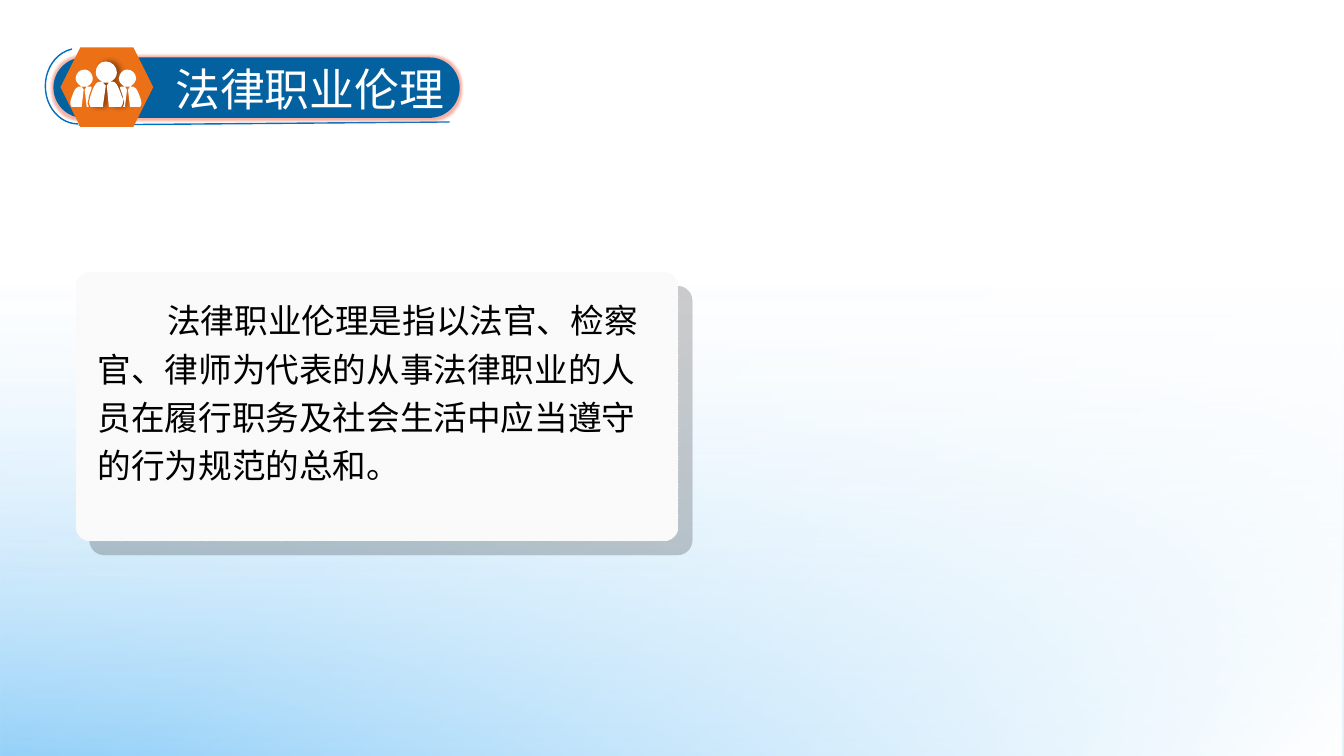
from dataclasses import dataclass

from pptx import Presentation
from pptx.dml.color import RGBColor
from pptx.enum.dml import MSO_PATTERN
from pptx.enum.shapes import MSO_CONNECTOR, MSO_SHAPE
from pptx.enum.text import MSO_AUTO_SIZE
from pptx.oxml import parse_xml
from pptx.oxml.ns import nsdecls, qn
from pptx.util import Inches, Pt

RECT, ROUNDED = MSO_SHAPE.RECTANGLE, MSO_SHAPE.ROUNDED_RECTANGLE
ARC, HEXAGON = MSO_SHAPE.ARC, MSO_SHAPE.HEXAGON
DIAGONAL = MSO_PATTERN.DARK_DOWNWARD_DIAGONAL
STRAIGHT = MSO_CONNECTOR.STRAIGHT
GROW = MSO_AUTO_SIZE.SHAPE_TO_FIT_TEXT


@dataclass(frozen=True)
class Theme:
    white: str = "FFFFFF"
    sky: str = "67BDF6"
    outline: str = "0070C0"
    pill: str = "0461A0"
    glow: str = "F5A090"
    badge: str = "EC7016"
    card: str = "F9F9F9"
    ink: str = "000000"
    title_size: int = 32
    body_size: int = 24
    title_font: str = "Times New Roman"
    body_font: str = "Noto Sans CJK SC"


theme = Theme()
deck = Presentation()
deck.slide_width, deck.slide_height = Inches(13.33), Inches(7.5)
page = deck.slides.add_slide(deck.slide_layouts[6])


def style(shape, color=None, effect=None):
    """Give a shape a plain fill or none, no outline, and one optional effect element."""
    if color:
        shape.fill.solid()
        shape.fill.fore_color.rgb = RGBColor.from_string(color)
    else:
        shape.fill.background()
    shape.line.fill.background()
    shape.shadow.inherit = False
    if effect:
        shape._element.spPr.find(qn("a:effectLst")).append(parse_xml(effect))
    return shape


def write(text, bounds, font, size, color):
    """Add a text box; Chinese characters always use the body font."""
    box = page.shapes.add_textbox(*map(Inches, bounds))
    box.text_frame.word_wrap = True
    box.text_frame.auto_size = GROW
    para = box.text_frame.paragraphs[0]
    para.text = text
    para.font.name = font
    para.font.size = Pt(size)
    para.font.color.rgb = RGBColor.from_string(color)
    east_asian = parse_xml(f'<a:ea {nsdecls("a")} typeface="{theme.body_font}"/>')
    para._p.pPr.find(qn("a:defRPr")).append(east_asian)
    return para


# Background: two washes, each stop is position %, colour, opacity %
washes = [
    (90, [(0, theme.white, 0), (37, theme.white, 25), (100, theme.sky, 88)]),
    (45, [(0, theme.white, 0), (42, theme.white, 25), (100, theme.white, 100)]),
]
for angle, stops in washes:
    wash = style(page.shapes.add_shape(RECT, 0, 0, deck.slide_width, deck.slide_height), theme.white)
    stop_xml = "".join(
        f'<a:gs pos="{position * 1000}"><a:srgbClr val="{color}">'
        f'<a:alpha val="{opacity * 1000}"/></a:srgbClr></a:gs>'
        for position, color, opacity in stops
    )
    gradient = parse_xml(
        f'<a:gradFill {nsdecls("a")} rotWithShape="1"><a:gsLst>{stop_xml}</a:gsLst>'
        f'<a:lin ang="{angle * 60000}" scaled="0"/></a:gradFill>'
    )
    properties = wash._element.spPr
    properties.replace(properties.find(qn("a:solidFill")), gradient)

# Title pill with its outline
arc = style(page.shapes.add_shape(ARC, Inches(0.45), Inches(0.48), Inches(0.65), Inches(0.75)))
arc.adjustments[0], arc.adjustments[1] = 53.91, 156.32
underline = page.shapes.add_connector(STRAIGHT, Inches(0.78), Inches(1.24), Inches(4.46), Inches(1.21))
underline._element.spPr.append(parse_xml(f'<a:effectLst {nsdecls("a")}/>'))
for stroke in (arc, underline):
    stroke.line.color.rgb = RGBColor.from_string(theme.outline)
    stroke.line.width = Pt(1)

glow = (
    f'<a:glow {nsdecls("a")} rad="{Pt(3)}"><a:srgbClr val="{theme.glow}">'
    '<a:alpha val="80000"/></a:srgbClr></a:glow>'
)
pill = page.shapes.add_shape(ROUNDED, Inches(0.53), Inches(0.57), Inches(4.03), Inches(0.6))
style(pill, theme.pill, glow)
pill.adjustments[0] = 0.5
write("法律职业伦理", (1.64, 0.56, 2.92, 0.64), theme.title_font, theme.title_size, theme.white)

# Hexagon badge with three people
style(page.shapes.add_shape(HEXAGON, Inches(0.6), Inches(0.47), Inches(0.92), Inches(0.79)), theme.badge)

# Outlines in hundredths of an inch: two numbers are a corner, six a Bézier curve
leader = [
    (122, 98), (120, 95, 117, 81, 112, 81), (109, 81),
    (113, 80, 116, 76, 116, 72), (116, 66, 111, 61, 105, 61),
    (99, 61, 95, 66, 95, 72), (95, 76, 98, 80, 102, 81), (99, 81),
    (93, 81, 90, 95, 89, 98), (87, 103, 90, 106, 90, 106),
    (102, 106), (105, 85), (102, 82), (108, 82), (106, 85), (108, 106), (120, 106),
    (120, 106, 123, 103, 122, 98),
]
colleague = [
    (88, 98), (88, 97, 88, 97, 88, 96), (89, 93, 90, 90, 91, 87),
    (91, 86, 90, 86, 89, 86), (86, 86),
    (90, 84, 92, 81, 92, 78), (92, 73, 88, 69, 84, 69),
    (79, 69, 75, 73, 75, 78), (75, 81, 78, 84, 81, 86), (78, 86),
    (74, 86, 71, 97, 70, 100), (69, 104, 71, 106, 71, 106),
    (81, 106), (83, 89), (81, 86), (86, 86), (84, 89), (86, 106), (88, 106),
    (87, 104, 86, 102, 88, 98),
]
MIRROR_SUM = 210
mirrored_colleague = [
    tuple(MIRROR_SUM - value if index % 2 == 0 else value for index, value in enumerate(segment))
    for segment in colleague
]
shadow = (
    '<a:outerShdw {ns} blurRad="{blur}" dist="{dist}" dir="{turn}" algn="tl" rotWithShape="0">'
    '<a:srgbClr val="{color}"><a:alpha val="{alpha}"/></a:srgbClr></a:outerShdw>'
)
leader_shadow = shadow.format(
    ns=nsdecls("a"), blur=Pt(4), dist=Pt(3), turn=0, color=theme.ink, alpha=40000
)
for outline, effect in [(leader, leader_shadow), (colleague, None), (mirrored_colleague, None)]:
    anchors = [segment[-2:] for segment in outline]
    left, top = min(x for x, y in anchors), min(y for x, y in anchors)
    builder = page.shapes.build_freeform(*anchors[0], scale=Inches(0.01))
    builder.add_line_segments(anchors[1:], close=True)
    person = style(builder.convert_to_shape(), theme.white, effect)
    sides = list(person._element.spPr.iter(qn("a:lnTo")))
    for side, segment in zip(sides, outline[1:]):
        if len(segment) == 6:
            controls = "".join(
                f'<a:pt x="{x - left}" y="{y - top}"/>' for x, y in zip(segment[::2], segment[1::2])
            )
            curve = parse_xml(f'<a:cubicBezTo {nsdecls("a")}>{controls}</a:cubicBezTo>')
            side.getparent().replace(side, curve)

# Definition card
card_shadow = shadow.format(
    ns=nsdecls("a"), blur=0, dist=Pt(14), turn=45 * 60000, color=theme.ink, alpha=20000
)
card = page.shapes.add_shape(ROUNDED, Inches(0.75), Inches(2.7), Inches(5.98), Inches(2.67))
style(card, theme.card, card_shadow)
card.adjustments[0] = 0.055
card.fill.patterned()
card.fill.pattern = DIAGONAL
card.fill.fore_color.rgb = RGBColor.from_string(theme.white)
card.fill.back_color.rgb = RGBColor.from_string(theme.card)

definition = write(
    "法律职业伦理是指以法官、检察官、律师为代表的从事法律职业的人员在履行职务及社会生活中应当遵守的行为规范的总和。",
    (0.87, 2.85, 5.7, 2.04), theme.body_font, theme.body_size, theme.ink,
)
definition.line_spacing = 1.2
definition._p.pPr.set("marL", "0")
definition._p.pPr.set("indent", str(Inches(0.69)))

deck.save("out.pptx")
